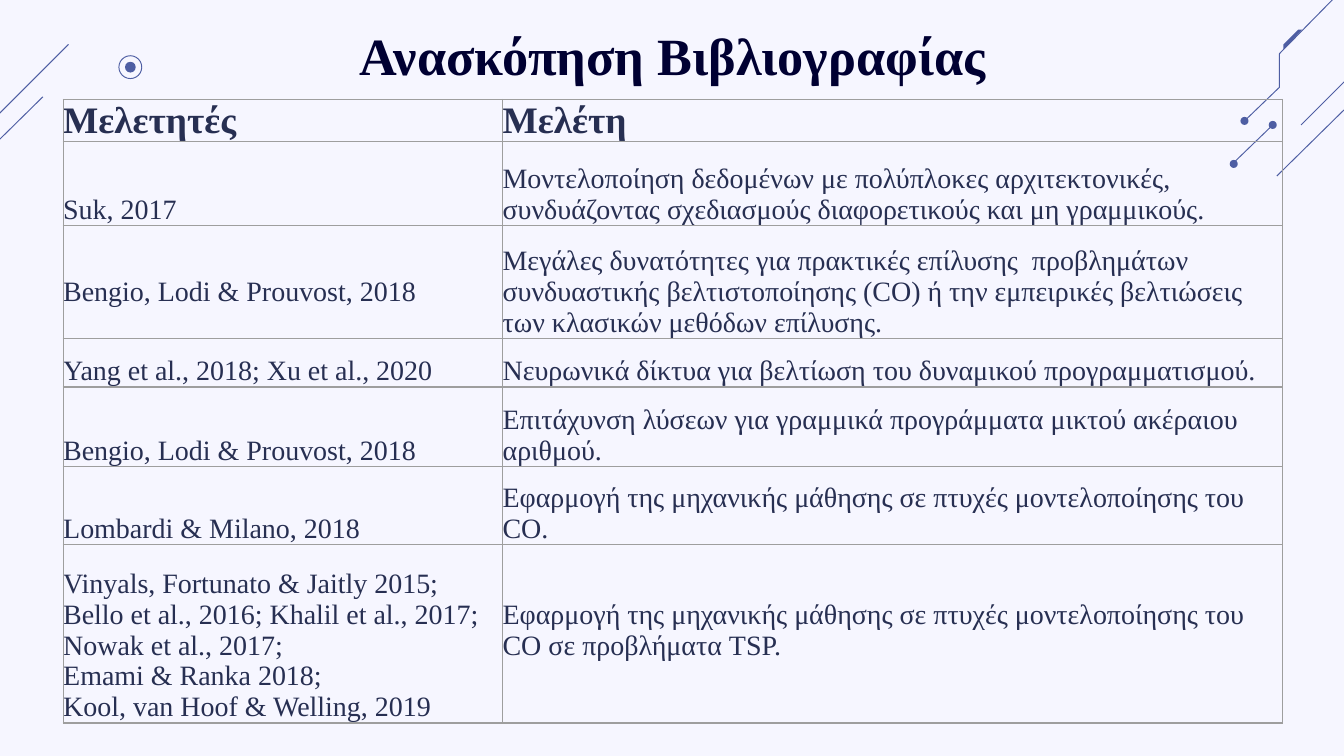
from pptx import Presentation
from pptx.dml.color import RGBColor
from pptx.enum.shapes import MSO_CONNECTOR, MSO_SHAPE
from pptx.enum.text import MSO_ANCHOR, PP_ALIGN
from pptx.oxml import parse_xml
from pptx.util import Inches, Pt

FONT = "Times New Roman"
BACKGROUND = RGBColor(0xF6, 0xF6, 0xFF)
ACCENT = RGBColor(0x4E, 0x5E, 0xA3)
TITLE_COLOR = RGBColor(0x00, 0x00, 0x32)
TEXT_COLOR = RGBColor(0x27, 0x2F, 0x52)
BORDER_COLOR = RGBColor(0x9E, 0x9E, 0x9E)
NAMESPACE = "http://schemas.openxmlformats.org/drawingml/2006/main"

TITLE = "Ανασκόπηση Βιβλιογραφίας"
ROWS = [
    ("Μελετητές", "Μελέτη"),
    ("Suk, 2017",
     "Μοντελοποίηση δεδομένων με πολύπλοκες αρχιτεκτονικές, "
     "συνδυάζοντας σχεδιασμούς διαφορετικούς και μη γραμμικούς."),
    ("Bengio, Lodi & Prouvost, 2018",
     "Μεγάλες δυνατότητες για πρακτικές επίλυσης  προβλημάτων συνδυαστικής "
     "βελτιστοποίησης (CO) ή την εμπειρικές βελτιώσεις των κλασικών μεθόδων επίλυσης."),
    ("Yang et al., 2018; Xu et al., 2020",
     "Νευρωνικά δίκτυα για βελτίωση του δυναμικού προγραμματισμού."),
    ("Bengio, Lodi & Prouvost, 2018",
     "Επιτάχυνση λύσεων για γραμμικά προγράμματα μικτού ακέραιου αριθμού."),
    ("Lombardi & Milano, 2018",
     "Εφαρμογή της μηχανικής μάθησης σε πτυχές μοντελοποίησης του CO."),
    ("Vinyals, Fortunato & Jaitly 2015; Bello et al., 2016; Khalil et al., 2017; "
     "Nowak et al., 2017; \vEmami & Ranka 2018;\nKool, van Hoof & Welling, 2019",
     "Εφαρμογή της μηχανικής μάθησης σε πτυχές μοντελοποίησης του CO σε προβλήματα TSP."),
]
COLUMN_WIDTHS = [3.27, 5.8]
ROW_HEIGHTS = [0.31, 0.63, 0.84, 0.36, 0.59, 0.58, 1.33]
LINE_HEIGHT = 0.23
LINES_BELOW = {(2, 0): 1, (6, 1): 2}

DIAGONALS = [
    (10.28, 0.33, 9.68, 0.93),
    (10.1, 0.72, 9.5, 1.31),
    (9.47, 0.93, 9.17, 1.22),
    (0.51, 0.33, -0.09, 0.93),
    (0.32, 0.72, -0.28, 1.31),
]
CIRCUIT = [(9.26, 0.9), (9.52, 0.65), (9.52, 0.4), (10.08, -0.17)]
SLASH = [(9.55, 0.37), (9.69, 0.22), (9.66, 0.22), (9.55, 0.33)]
DOTS = [(9.47, 0.93, 0.06), (9.18, 1.22, 0.06), (9.26, 0.9, 0.06), (0.97, 0.5, 0.08)]
RING = (0.97, 0.5, 0.17)


def add_diagonal(slide, x1, y1, x2, y2):
    connector = slide.shapes.add_connector(
        MSO_CONNECTOR.STRAIGHT, Inches(x1), Inches(y1), Inches(x2), Inches(y2))
    connector.line.color.rgb = ACCENT
    connector.line.width = Pt(0.5)
    connector.element.spPr.append(parse_xml(f'<a:effectLst xmlns:a="{NAMESPACE}"/>'))


def paint(shape, filled):
    shape.shadow.inherit = False
    if filled:
        shape.fill.solid()
        shape.fill.fore_color.rgb = ACCENT
        shape.line.fill.background()
    else:
        shape.fill.background()
        shape.line.color.rgb = ACCENT
        shape.line.width = Pt(0.5)


def add_circle(slide, x, y, diameter, filled):
    shape = slide.shapes.add_shape(
        MSO_SHAPE.OVAL, Inches(x - diameter / 2), Inches(y - diameter / 2),
        Inches(diameter), Inches(diameter))
    paint(shape, filled)


def add_outline(slide, points, closed):
    points = [(Inches(x), Inches(y)) for x, y in points]
    builder = slide.shapes.build_freeform(*points[0])
    builder.add_line_segments(points[1:], close=closed)
    paint(builder.convert_to_shape(), closed)


def format_runs(paragraph, size, color, bold):
    for run in paragraph.runs:
        run.font.name = FONT
        run.font.size = Pt(size)
        run.font.bold = bold
        run.font.color.rgb = color


def add_borders(cell):
    properties = cell._tc.get_or_add_tcPr()
    for index, side in enumerate(("lnL", "lnR", "lnT", "lnB")):
        properties.insert(index, parse_xml(
            f'<a:{side} xmlns:a="{NAMESPACE}" w="{Pt(0.75)}"><a:solidFill>'
            f'<a:srgbClr val="{BORDER_COLOR}"/></a:solidFill></a:{side}>'))


def fill_cell(cell, text, header, lines_below):
    cell.fill.background()
    cell.vertical_anchor = MSO_ANCHOR.BOTTOM
    cell.margin_left = cell.margin_right = cell.margin_top = 0
    cell.margin_bottom = Inches(lines_below * LINE_HEIGHT)
    cell.text_frame.text = text
    for paragraph in cell.text_frame.paragraphs:
        format_runs(paragraph, 20 if header else 15, TEXT_COLOR, header)
    add_borders(cell)


def add_studies(slide):
    table = slide.shapes.add_table(
        len(ROWS), len(COLUMN_WIDTHS), Inches(0.47), Inches(0.74),
        Inches(sum(COLUMN_WIDTHS)), Inches(sum(ROW_HEIGHTS))).table
    table.first_row = table.horz_banding = False
    for column, width in zip(table.columns, COLUMN_WIDTHS):
        column.width = Inches(width)
    for row, height in zip(table.rows, ROW_HEIGHTS):
        row.height = Inches(height)
    for row_index, texts in enumerate(ROWS):
        for column_index, text in enumerate(texts):
            fill_cell(table.cell(row_index, column_index), text, row_index == 0,
                      LINES_BELOW.get((row_index, column_index), 0))


def add_title(slide):
    title = slide.shapes.title
    title.left, title.top = Inches(0.86), Inches(0.17)
    title.width, title.height = Inches(8.29), Inches(0.57)
    text_frame = title.text_frame
    text_frame.text = TITLE
    text_frame.margin_top = text_frame.margin_bottom = 0
    text_frame.vertical_anchor = MSO_ANCHOR.TOP
    paragraph = text_frame.paragraphs[0]
    paragraph.alignment = PP_ALIGN.CENTER
    format_runs(paragraph, 28, TITLE_COLOR, True)


def main():
    presentation = Presentation()
    presentation.slide_width = Inches(10)
    presentation.slide_height = presentation.slide_width * 9 // 16
    slide = presentation.slides.add_slide(presentation.slide_layouts[5])
    slide.background.fill.solid()
    slide.background.fill.fore_color.rgb = BACKGROUND
    for diagonal in DIAGONALS:
        add_diagonal(slide, *diagonal)
    add_outline(slide, CIRCUIT, False)
    add_outline(slide, SLASH, True)
    add_circle(slide, *RING, False)
    for dot in DOTS:
        add_circle(slide, *dot, True)
    add_title(slide)
    add_studies(slide)
    presentation.save("out.pptx")


if __name__ == "__main__":
    main()
